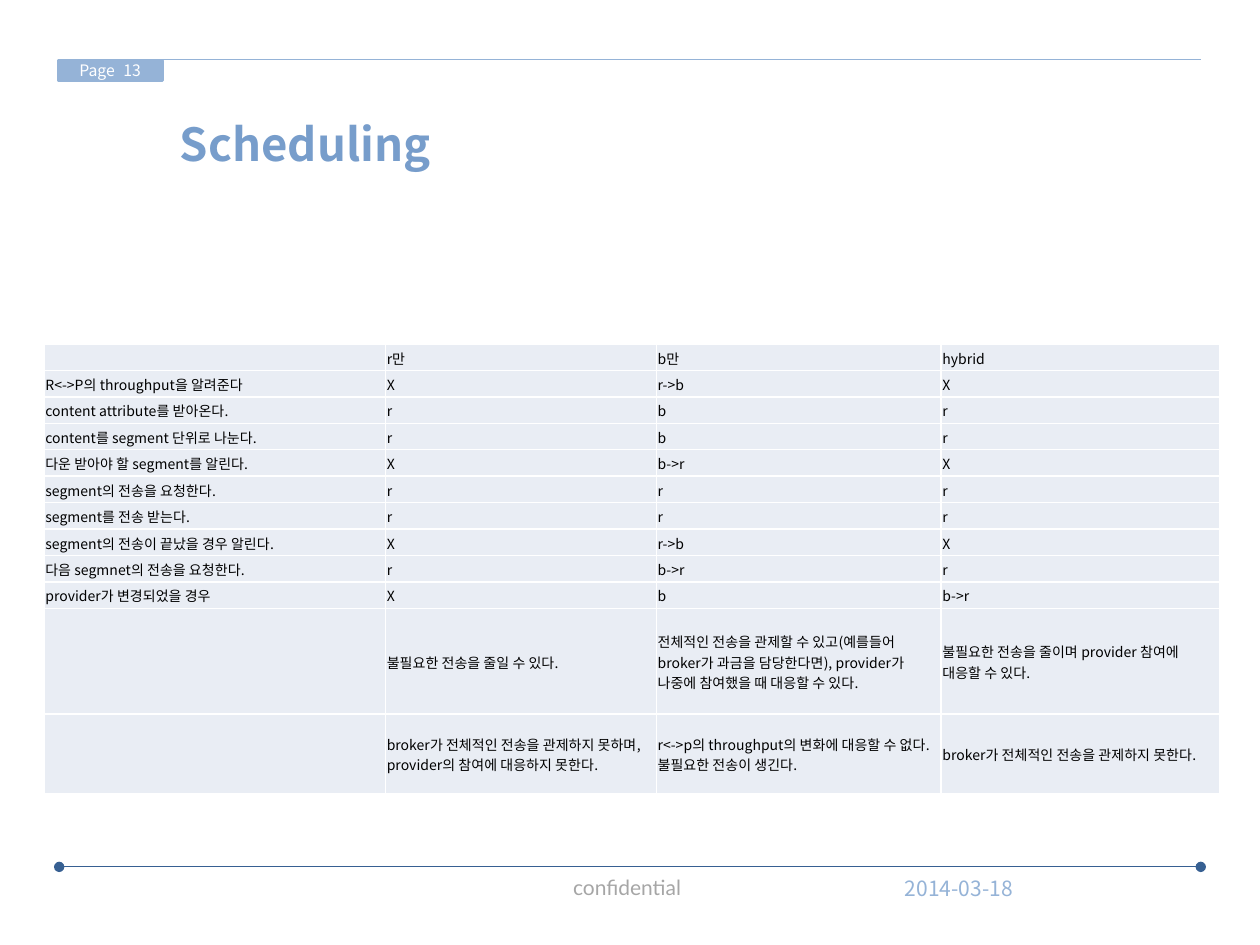
from lxml import etree
from pptx import Presentation
from pptx import util as u
from pptx.dml.color import RGBColor
from pptx.enum import shapes, text
from pptx.oxml.ns import qn

THEME = {
    "sans": "Noto Sans CJK KR", "footer_font": "Lato",
    "light_blue": "95B3D7", "dark_blue": "376092", "title_blue": "779DCB",
    "grey": "A6A6A6", "white": "FFFFFF", "black": "000000", "cell": "E9EDF4",
    "title_size": 26, "footer_size": 12, "page_size": 9, "table_size": 8,
}

TITLE = "Scheduling"
PAGE_LABEL, PAGE_NUMBER = "Page", "13"
FOOTER, DATE = "confidential", "2014-03-18"
ROWS = [
    ("", "r만", "b만", "hybrid"),
    ("R<->P의 throughput을 알려준다", "X", "r->b", "X"),
    ("content attribute를 받아온다.", "r", "b", "r"),
    ("content를 segment 단위로 나눈다.", "r", "b", "r"),
    ("다운 받아야 할 segment를 알린다.", "X", "b->r", "X"),
    ("segment의 전송을 요청한다.", "r", "r", "r"),
    ("segment를 전송 받는다.", "r", "r", "r"),
    ("segment의 전송이 끝났을 경우 알린다.", "X", "r->b", "X"),
    ("다음 segmnet의 전송을 요청한다.", "r", "b->r", "r"),
    ("provider가 변경되었을 경우", "X", "b", "b->r"),
    ("", "불필요한 전송을 줄일 수 있다.",
     "전체적인 전송을 관제할 수 있고(예를들어 broker가 과금을 담당한다면), "
     "provider가 나중에 참여했을 때 대응할 수 있다.",
     "불필요한 전송을 줄이며 provider 참여에 대응할 수 있다."),
    ("", "broker가 전체적인 전송을 관제하지 못하며, provider의 참여에 대응하지 못한다.",
     "r<->p의 throughput의 변화에 대응할 수 없다. 불필요한 전송이 생긴다.",
     "broker가 전체적인 전송을 관제하지 못한다."),
]
COLUMN_WIDTHS = [2.71, 2.15, 2.26, 2.21]
ROW_HEIGHTS = [0.21] * 10 + [0.84, 0.63]
TABLE_LEFT, TABLE_TOP = 0.35, 2.73
RULE_LEFT, RULE_RIGHT = 0.47, 9.53


def color(name):
    return RGBColor.from_string(THEME[name])


def add_run(paragraph, words, size, ink, font="sans", bold=False):
    run = paragraph.add_run()
    run.text = words
    run.font.size = u.Pt(THEME[size])
    run.font.bold = bold
    run.font.color.rgb = color(ink)
    run.font.name = THEME[font]
    etree.SubElement(run.font._element, qn("a:ea"), typeface=THEME[font])


def add_label(slide, box, words, size, ink, font="sans", bold=False, wrap=True,
              align=text.PP_ALIGN.LEFT, anchor=text.MSO_ANCHOR.MIDDLE):
    frame = slide.shapes.add_textbox(*map(u.Inches, box)).text_frame
    frame.word_wrap = wrap
    frame.vertical_anchor = anchor
    frame.paragraphs[0].alignment = align
    add_run(frame.paragraphs[0], words, size, ink, font, bold)


def add_rule(slide, y, ink, end=None):
    rule = slide.shapes.add_connector(
        shapes.MSO_CONNECTOR.STRAIGHT, u.Inches(RULE_LEFT), u.Inches(y),
        u.Inches(RULE_RIGHT), u.Inches(y))
    rule.line.color.rgb = color(ink)
    rule.line.width = u.Pt(0.5)
    if end:
        line = rule.line._get_or_add_ln()
        for tag in ("a:headEnd", "a:tailEnd"):
            etree.SubElement(line, qn(tag), type=end)
    etree.SubElement(rule._element.spPr, qn("a:effectLst"))


def add_page_tab(slide):
    tab = slide.shapes.add_shape(
        shapes.MSO_SHAPE.RECTANGLE, *map(u.Inches, (RULE_LEFT, 0.48, 0.82, 0.16)))
    tab.shadow.inherit = False
    tab.fill.solid()
    tab.fill.fore_color.rgb = color("light_blue")
    tab.line.color.rgb = color("light_blue")
    tab.line.width = u.Pt(2)
    frame = tab.text_frame
    frame.margin_left = u.Inches(0.16)
    frame.vertical_anchor = text.MSO_ANCHOR.MIDDLE
    frame.paragraphs[0].alignment = text.PP_ALIGN.LEFT
    add_run(frame.paragraphs[0], PAGE_LABEL, "page_size", "white")
    add_label(slide, (0.88, 0.36, 0.55, 0.4), PAGE_NUMBER, "page_size", "white")


def add_borders(cell):
    properties = cell._tc.get_or_add_tcPr()
    for place, side in enumerate(("a:lnL", "a:lnR", "a:lnT", "a:lnB")):
        border = etree.Element(qn(side), w=str(u.Pt(1)))
        fill = etree.SubElement(border, qn("a:solidFill"))
        etree.SubElement(fill, qn("a:srgbClr"), val=THEME["white"])
        properties.insert(place, border)


def fill_cell(cell, words):
    cell.margin_left = cell.margin_right = cell.margin_top = u.Inches(0.01)
    cell.margin_bottom = 0
    cell.vertical_anchor = text.MSO_ANCHOR.MIDDLE
    cell.fill.solid()
    cell.fill.fore_color.rgb = color("cell")
    add_borders(cell)
    paragraph = cell.text_frame.paragraphs[0]
    if words:
        add_run(paragraph, words, "table_size", "black")
    else:  # keeps an empty cell from stretching its row
        etree.SubElement(paragraph._p, qn("a:endParaRPr"),
                         sz=str(THEME["table_size"] * 100))


def add_comparison(slide):
    table = slide.shapes.add_table(
        len(ROWS), len(COLUMN_WIDTHS), u.Inches(TABLE_LEFT), u.Inches(TABLE_TOP),
        u.Inches(sum(COLUMN_WIDTHS)), u.Inches(sum(ROW_HEIGHTS))).table
    table.first_row = table.horz_banding = False
    for column, width in zip(table.columns, COLUMN_WIDTHS):
        column.width = u.Inches(width)
    for row, height, entries in zip(table.rows, ROW_HEIGHTS, ROWS):
        row.height = u.Inches(height)
        for cell, words in zip(row.cells, entries):
            fill_cell(cell, words)


def main():
    deck = Presentation()
    deck.slide_width, deck.slide_height = u.Inches(10), u.Inches(7.5)
    slide = deck.slides.add_slide(deck.slide_layouts[6])
    add_label(slide, (7.02, 6.85, 1.18, 0.4), DATE, "footer_size", "light_blue",
              align=text.PP_ALIGN.CENTER)
    add_label(slide, (4.45, 6.89, 1.09, 0.3), FOOTER, "footer_size", "grey",
              font="footer_font", wrap=False, anchor=text.MSO_ANCHOR.TOP)
    add_page_tab(slide)
    add_rule(slide, 6.88, "dark_blue", end="oval")
    add_rule(slide, 0.47, "light_blue")
    add_label(slide, (1.33, 0.89, 8.2, 0.49), TITLE, "title_size", "title_blue",
              bold=True)
    add_comparison(slide)
    deck.save("out.pptx")


if __name__ == "__main__":
    main()
